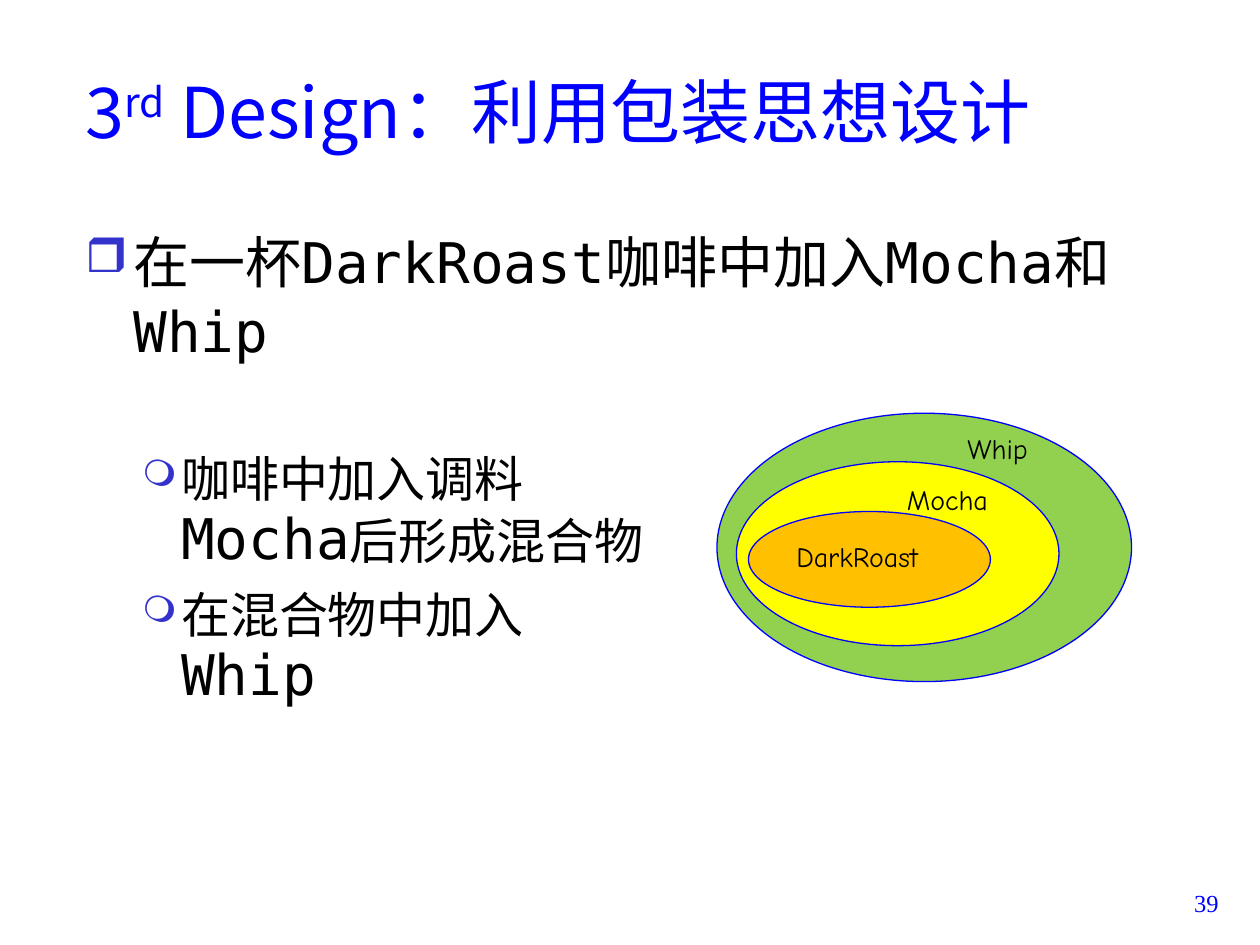
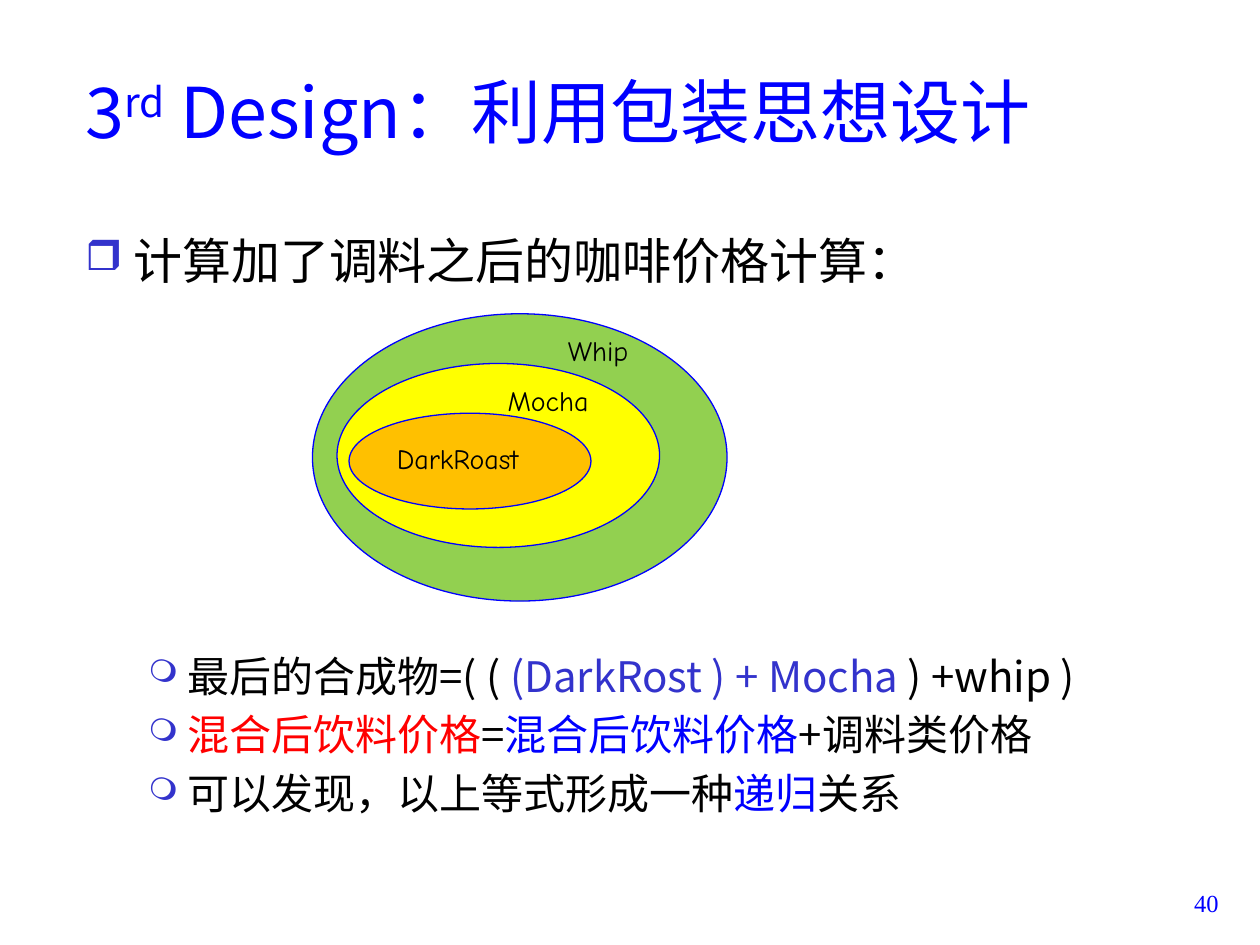
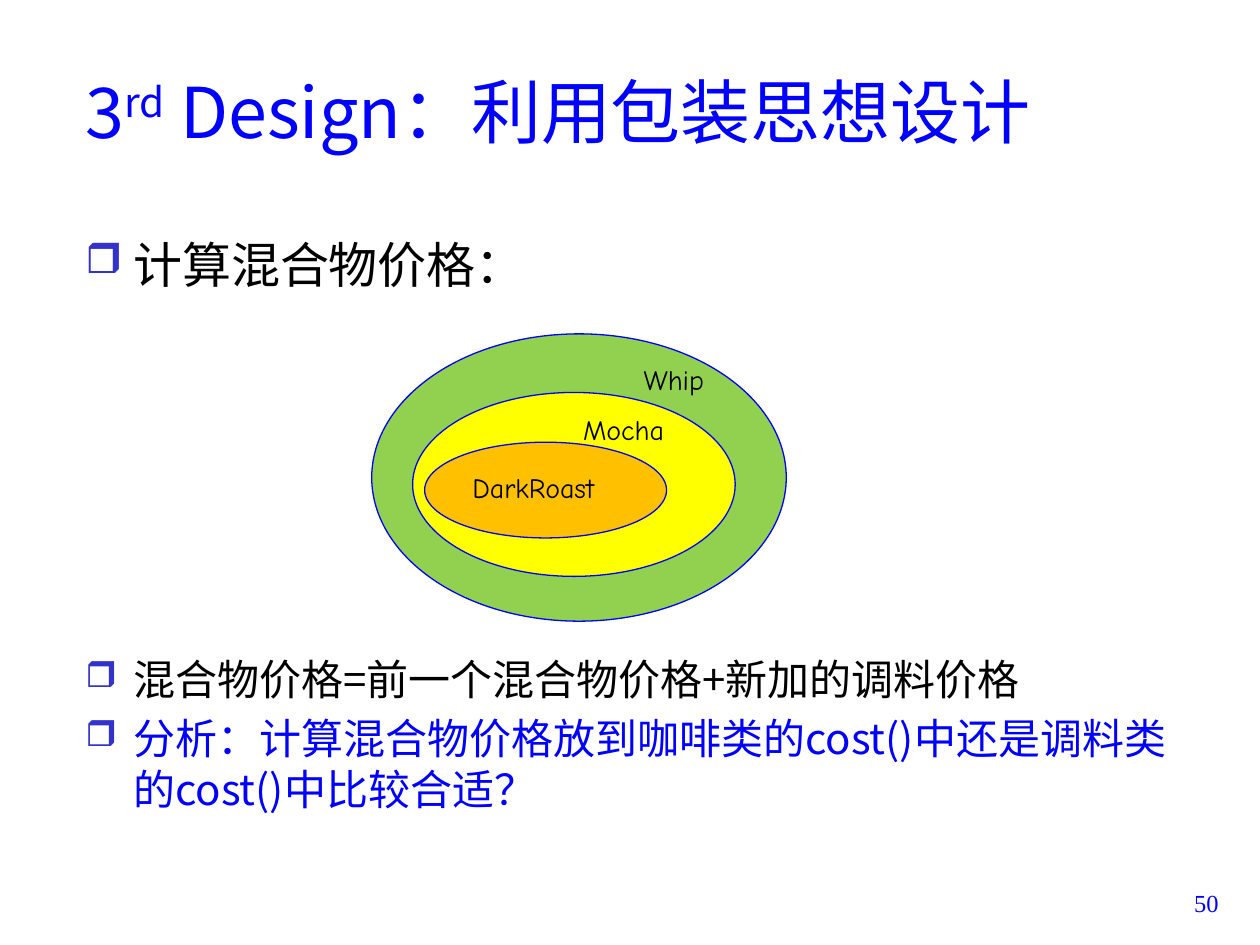
from dataclasses import dataclass
from typing import NamedTuple, Optional

from lxml import etree
from pptx import Presentation
from pptx import util as u
from pptx.dml.color import RGBColor
from pptx.enum import shapes, text
from pptx.oxml import ns

COLUMNS, ROWS = 100, 75
SLIDE_WIDTH, SLIDE_HEIGHT = u.Inches(10), u.Inches(7.5)


@dataclass(frozen=True)
class Theme:
    black: str = "000000"
    blue: str = "0000FF"
    indigo: str = "3333CC"
    red: str = "FF0000"
    green: str = "92D050"
    yellow: str = "FFFF00"
    orange: str = "FFC000"
    sans: str = "Noto Sans CJK SC"
    mono: str = "DejaVu Sans Mono"
    hand: str = "Comic Neue"
    serif: str = "Times New Roman"
    title: int = 40
    large: int = 32
    medium: int = 28
    small: int = 24
    label: int = 16
    number: int = 14
    outline: float = 0.75


THEME = Theme()


class Area(NamedTuple):
    """A rectangle in grid columns and rows."""
    left: float
    top: float
    width: float
    height: float

    def emu(self) -> tuple[int, int, int, int]:
        across, down = SLIDE_WIDTH / COLUMNS, SLIDE_HEIGHT / ROWS
        return (round(self.left * across), round(self.top * down),
                round(self.width * across), round(self.height * down))


class Span(NamedTuple):
    words: str
    size: int = THEME.small
    color: str = THEME.black
    font: str = THEME.sans
    raised: bool = False


class Bullet(NamedTuple):
    mark: str
    percent: int
    level: int
    margin: float
    hang: float


BOX_MARK = Bullet("❒", 85, 0, 0.38, 0.38)
RING_MARK = Bullet("❍", 75, 1, 0.81, 0.31)


class Item(NamedTuple):
    """A bulleted paragraph; line height and gap before it are in points."""
    bullet: Bullet
    spans: list[Span]
    line: float = 28.8
    gap: float = 4.8


class TextBlock(NamedTuple):
    area: Area
    items: list[Item]


class Cup(NamedTuple):
    """Nested ellipses: the place of the innermost and the outermost area."""
    left: float
    top: float
    whip: Area


class Page(NamedTuple):
    number: int
    blocks: list[TextBlock]
    cup: Cup


TITLE_AREA = Area(5.8, 2.5, 85, 12.5)
NUMBER_AREA = Area(91, 70, 6.7, 5)
TITLE_SPANS = [
    Span("3", THEME.title, THEME.blue),
    Span("rd", THEME.title, THEME.blue, raised=True),
    Span(" Design：利用包装思想设计", THEME.title, THEME.blue),
]
BELOW_CUP = 206


def heading(words: str) -> Item:
    return Item(BOX_MARK, [Span(words, THEME.medium)], 36, 0)


def code(words: str) -> Span:
    return Span(words, THEME.large, font=THEME.mono)


PAGES = [
    Page(39, [
        TextBlock(Area(5.8, 17.5, 85, 10.9), [
            Item(BOX_MARK, [
                Span("在一杯", THEME.large), code("DarkRoast"),
                Span("咖啡中加入", THEME.large), code("Mocha"),
                Span("和", THEME.large), code("Whip")], 39, 0)]),
        TextBlock(Area(5.3, 34.8, 47.5, 17.6), [
            Item(RING_MARK, [
                Span("咖啡中加入调料", THEME.medium), code("Mocha"),
                Span("后形成混合物", THEME.medium)], 36, 0),
            Item(RING_MARK, [
                Span("在混合物中加入", THEME.medium), code("Whip")], 36, 5.6)]),
    ], Cup(59.4, 40.6, Area(56.9, 32.8, 32.9, 21.3))),
    Page(40, [
        TextBlock(Area(5.8, 17.5, 85.1, 50.7), [
            heading("计算加了调料之后的咖啡价格计算："),
            Item(RING_MARK, [
                Span("最后的合成物=( ( "),
                Span("(DarkRost ) + Mocha ", color=THEME.indigo),
                Span(") +whip )")], gap=BELOW_CUP),
            Item(RING_MARK, [
                Span("混合后饮料价格", color=THEME.red), Span("="),
                Span("混合后饮料价格", color=THEME.blue),
                Span("+调料类价格")]),
            Item(RING_MARK, [
                Span("可以发现，以上等式形成一种"),
                Span("递归", color=THEME.blue), Span("关系")])]),
    ], Cup(27.7, 32.8, Area(24.8, 24.9, 32.9, 22.8))),
    Page(50, [
        TextBlock(Area(5.8, 17.8, 90.6, 53.9), [
            heading("计算混合物价格："),
            Item(BOX_MARK, [Span("混合物价格=前一个混合物价格+新加的调料价格")],
                 gap=BELOW_CUP),
            Item(BOX_MARK, [
                Span("分析：计算混合物价格放到咖啡类的cost()中还是调料类的cost()中比较合适？",
                     color=THEME.blue)])]),
    ], Cup(33.7, 35.1, Area(29.5, 26.5, 32.9, 22.8))),
]


def add_spans(para, spans: list[Span]) -> None:
    for span in spans:
        run = para.add_run()
        run.text = span.words
        run.font.size = u.Pt(span.size)
        run.font.color.rgb = RGBColor.from_string(span.color)
        run.font.name = span.font
        properties = run.font._element
        etree.SubElement(properties, ns.qn("a:ea"), typeface=span.font)
        if span.raised:
            properties.set("baseline", "30000")


def add_bullet(para, bullet: Bullet) -> None:
    para.level = bullet.level
    properties = para._p.get_or_add_pPr()
    properties.set("marL", str(u.Inches(bullet.margin)))
    properties.set("indent", str(-u.Inches(bullet.hang)))
    color = etree.SubElement(properties, ns.qn("a:buClr"))
    etree.SubElement(color, ns.qn("a:srgbClr"), val=THEME.indigo)
    etree.SubElement(properties, ns.qn("a:buSzPct"), val=str(bullet.percent * 1000))
    etree.SubElement(properties, ns.qn("a:buChar"), char=bullet.mark)


def add_box(page, area: Area):
    box = page.shapes.add_textbox(*area.emu())
    box.text_frame.word_wrap = True
    return box


def add_block(page, block: TextBlock) -> None:
    frame = add_box(page, block.area).text_frame
    for index, item in enumerate(block.items):
        para = frame.add_paragraph() if index else frame.paragraphs[0]
        para.line_spacing = u.Pt(item.line)
        para.space_before = u.Pt(item.gap)
        add_bullet(para, item.bullet)
        add_spans(para, item.spans)


def write_label(frame, words: str) -> None:
    para = frame.paragraphs[0]
    para.alignment = text.PP_ALIGN.LEFT
    para.line_spacing = 0.8
    add_spans(para, [Span(words, THEME.label, font=THEME.hand)])


def add_ellipse(page, area: Area, fill: str, label: Optional[str] = None) -> None:
    ellipse = page.shapes.add_shape(shapes.MSO_SHAPE.OVAL, *area.emu())
    ellipse.shadow.inherit = False
    ellipse.fill.solid()
    ellipse.fill.fore_color.rgb = RGBColor.from_string(fill)
    ellipse.line.color.rgb = RGBColor.from_string(THEME.blue)
    ellipse.line.width = u.Pt(THEME.outline)
    if label:
        ellipse.text_frame.vertical_anchor = text.MSO_ANCHOR.MIDDLE
        write_label(ellipse.text_frame, label)


def add_cup(page, cup: Cup) -> None:
    left, top = cup.left, cup.top
    add_ellipse(page, cup.whip, THEME.green)
    add_ellipse(page, Area(left - 0.95, top - 3.95, 25.6, 14.6), THEME.yellow)
    add_ellipse(page, Area(left, top, 19.2, 7.6), THEME.orange, "DarkRoast")
    for words, right, up in (("Mocha", 11.6, 2.3), ("Whip", 16.4, 6.3)):
        box = add_box(page, Area(left + right, top - up, 10, 3.2))
        write_label(box.text_frame, words)


def add_title(page) -> None:
    frame = add_box(page, TITLE_AREA).text_frame
    frame.vertical_anchor = text.MSO_ANCHOR.MIDDLE
    add_spans(frame.paragraphs[0], TITLE_SPANS)


def add_number(page, number: int) -> None:
    para = add_box(page, NUMBER_AREA).text_frame.paragraphs[0]
    para.alignment = text.PP_ALIGN.RIGHT
    add_spans(para, [Span(str(number), THEME.number, THEME.blue, THEME.serif)])


def main() -> None:
    deck = Presentation()
    deck.slide_width, deck.slide_height = SLIDE_WIDTH, SLIDE_HEIGHT
    for content in PAGES:
        page = deck.slides.add_slide(deck.slide_layouts[6])
        add_title(page)
        add_number(page, content.number)
        add_cup(page, content.cup)
        for block in content.blocks:
            add_block(page, block)
    deck.save("out.pptx")


if __name__ == "__main__":
    main()
